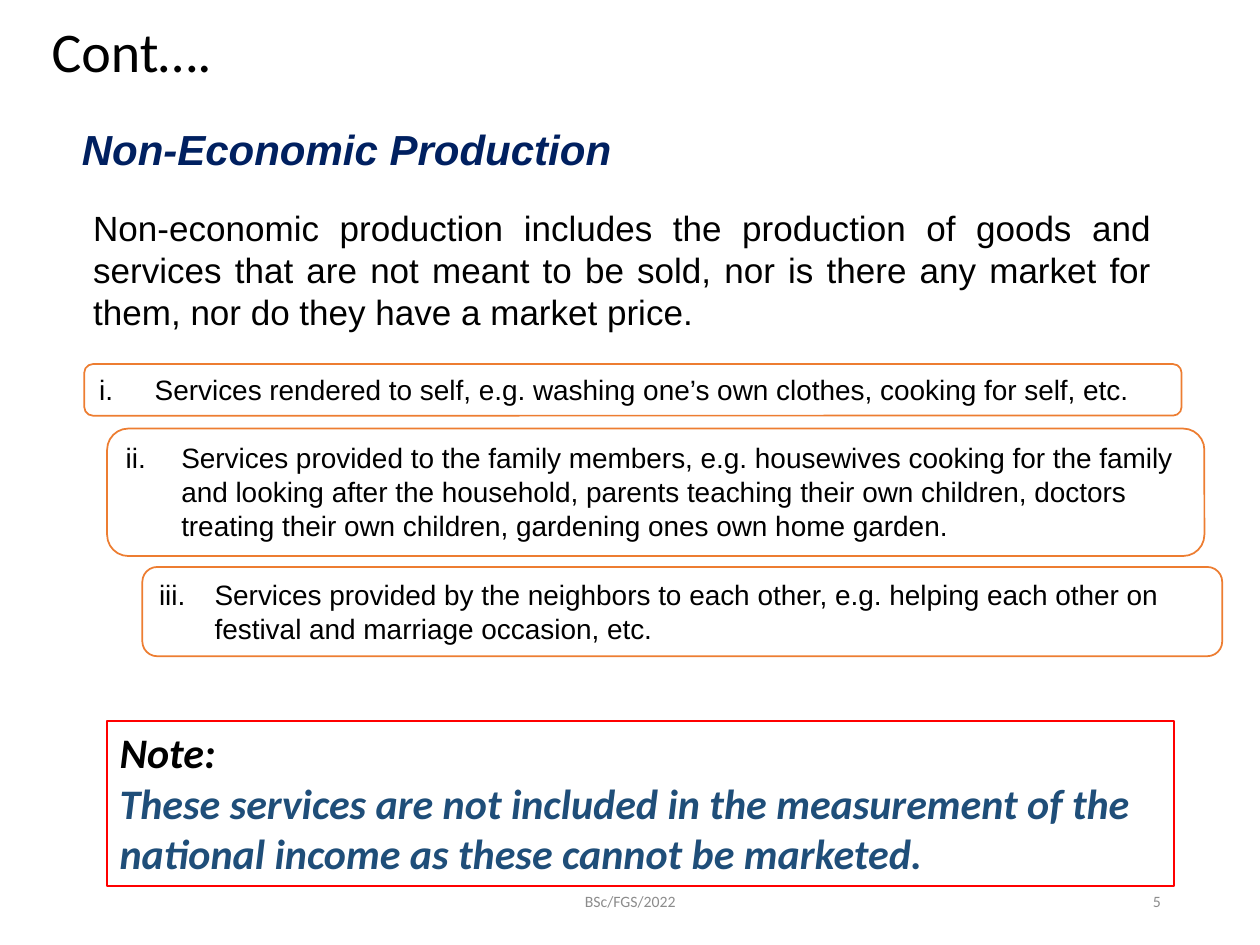
from lxml import etree
from pptx import Presentation
from pptx import util as u
from pptx.dml.color import RGBColor
from pptx.enum import shapes, text
from pptx.oxml.ns import qn

BLACK = RGBColor(0x00, 0x00, 0x00)
WHITE = RGBColor(0xFF, 0xFF, 0xFF)
NAVY = RGBColor(0x00, 0x20, 0x60)
BLUE = RGBColor(0x1F, 0x4E, 0x79)
ORANGE = RGBColor(0xED, 0x7D, 0x31)
RED = RGBColor(0xFF, 0x00, 0x00)
GREY = RGBColor(0x8C, 0x8C, 0x8C)

SERVICES = [
    ((1.7, 7.34, 22.12, 1.04),
     "Services rendered to self, e.g. washing one’s own clothes, cooking for self, etc."),
    ((2.16, 8.64, 22.12, 2.57),
     "Services provided to the family members, e.g. housewives cooking for the family "
     "and looking after the household, parents teaching their own children, doctors "
     "treating their own children, gardening ones own home garden."),
    ((2.87, 11.43, 21.77, 1.8),
     "Services provided by the neighbors to each other, e.g. helping each other on "
     "festival and marriage occasion, etc."),
]


def write(para, words, size, font="Arial", color=BLACK, strong=False, align=text.PP_ALIGN.LEFT):
    """Add one formatted run to a paragraph."""
    para.alignment = align
    span = para.add_run()
    span.text = words
    span.font.name = font
    span.font.size = u.Pt(size)
    span.font.color.rgb = color
    span.font.bold = span.font.italic = strong


def add_label(page, area, words, size, anchor=text.MSO_ANCHOR.TOP, spacing=None, **style):
    """Place a text box holding one paragraph."""
    box = page.shapes.add_textbox(*map(u.Cm, area))
    frame = box.text_frame
    frame.word_wrap = True
    frame.vertical_anchor = anchor
    para = frame.paragraphs[0]
    if spacing:
        para.line_spacing = spacing
    write(para, words, size, **style)


def add_panel(page, kind, area, outline):
    """Place a white outlined shape and return its text frame."""
    box = page.shapes.add_shape(kind, *map(u.Cm, area))
    box.shadow.inherit = False
    box.fill.solid()
    box.fill.fore_color.rgb = WHITE
    box.line.color.rgb = outline
    box.line.width = u.Pt(1)
    frame = box.text_frame
    frame.word_wrap = True
    frame.vertical_anchor = text.MSO_ANCHOR.TOP
    return frame


def add_service(page, area, number, words):
    """Place one rounded panel with a roman-numbered paragraph."""
    frame = add_panel(page, shapes.MSO_SHAPE.ROUNDED_RECTANGLE, area, ORANGE)
    para = frame.paragraphs[0]
    props = para._p.get_or_add_pPr()
    indent = u.Cm(1.12)
    props.set("marL", str(indent))
    props.set("indent", str(-indent))
    etree.SubElement(props, qn("a:buAutoNum"), type="romanLcPeriod", startAt=str(number))
    write(para, words, 16)


def add_note(page, area):
    """Place the red-framed note."""
    frame = add_panel(page, shapes.MSO_SHAPE.RECTANGLE, area, RED)
    write(frame.paragraphs[0], "Note:", 24, "Calibri", strong=True)
    write(frame.add_paragraph(),
          "These services are not included in the measurement of the "
          "national income as these cannot be marketed.",
          24, "Calibri", BLUE, True)


def add_footer(page, top, height):
    """Place the course label and the page number."""
    style = dict(anchor=text.MSO_ANCHOR.MIDDLE, font="Calibri", color=GREY)
    add_label(page, (8.41, top, 8.59, height), "BSc/FGS/2022", 9,
              align=text.PP_ALIGN.CENTER, **style)
    add_label(page, (17.93, top, 5.72, height), "5", 9,
              align=text.PP_ALIGN.RIGHT, **style)


def main():
    """Build the slide and save the deck."""
    deck = Presentation()
    deck.slide_width, deck.slide_height = u.Cm(25.4), u.Cm(19.05)
    page = deck.slides.add_slide(deck.slide_layouts[6])
    add_label(page, (0.79, 0.36, 23.75, 2.13), "Cont….", 32, spacing=0.9, font="Calibri")
    add_label(page, (1.4, 2.36, 11.23, 1.27), "Non-Economic Production", 24,
              color=NAVY, strong=True)
    add_label(page, (1.63, 4.04, 21.84, 2.82),
              "Non-economic production includes the production of goods and services "
              "that are not meant to be sold, nor is there any market for them, nor do "
              "they have a market price.", 20, align=text.PP_ALIGN.JUSTIFY)
    for number, (area, words) in enumerate(SERVICES, 1):
        add_service(page, area, number, words)
    add_note(page, (2.16, 14.53, 21.51, 3.33))
    add_footer(page, 17.65, 1.02)
    deck.save("out.pptx")


if __name__ == "__main__":
    main()
